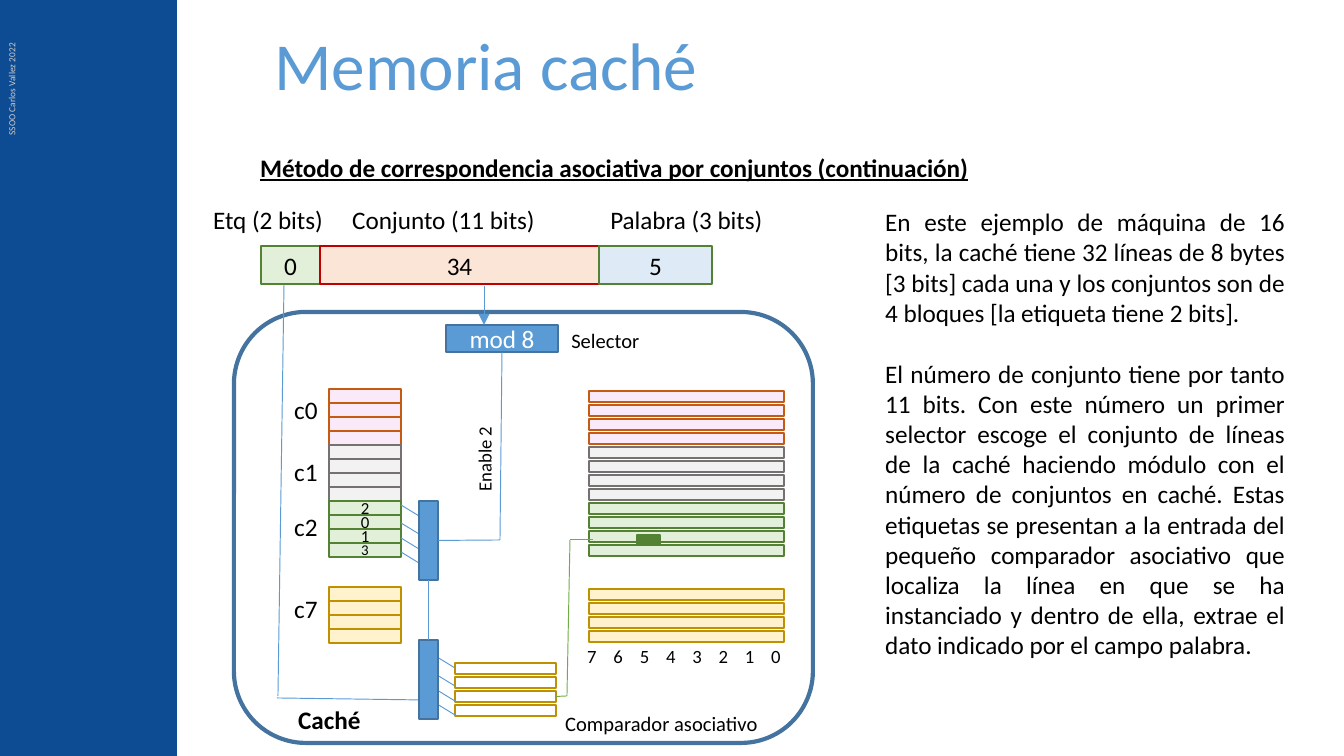
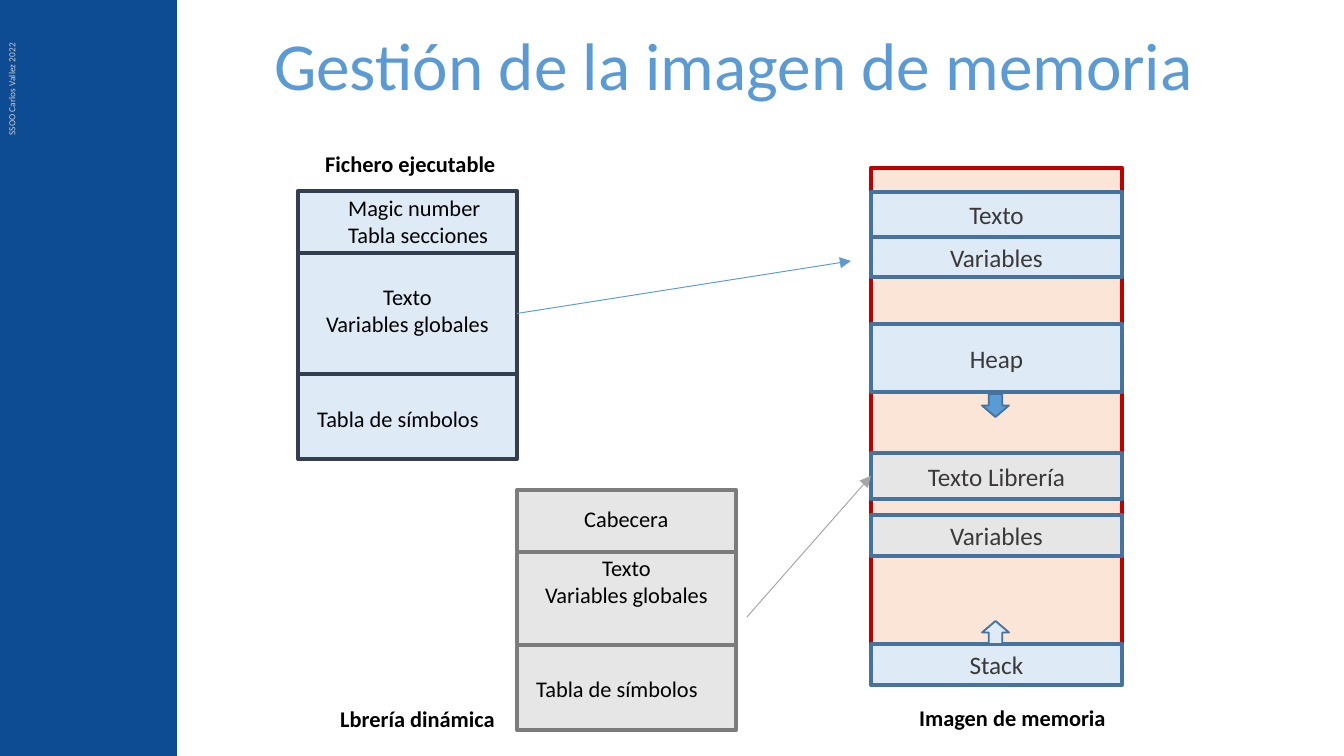
import pptx
import pptx.util
import pptx.dml.color
import pptx.enum.shapes
import pptx.enum.text
import pptx.oxml.ns
from lxml import etree

SHAPE = pptx.enum.shapes.MSO_SHAPE
ALIGN = pptx.enum.text.PP_ALIGN
ANCHOR = pptx.enum.text.MSO_ANCHOR
FIT = pptx.enum.text.MSO_AUTO_SIZE
Pt = pptx.util.Pt
RGB = pptx.dml.color.RGBColor.from_string
qn = pptx.oxml.ns.qn
PX = 9144000 / 1344  # EMU in one px

C = {
    "band": "0D4B92", "footer": "D0CECE", "blue": "5B9BD5", "edge": "43739E",
    "black": "000000", "white": "FFFFFF", "ink": "3B3838", "navy": "333F50",
    "pale_blue": "DEEBF7", "pale_green": "E2F0D9", "green": "548235",
    "wire_green": "70AD47", "peach": "FBE5D6", "red": "C00000",
    "pink": "FAEAF9", "orange": "C55A11", "pale_gray": "F2F2F2",
    "gray": "767171", "cream": "FFF2CC", "gold": "BF9000",
    "lib": "E7E6E6", "lib_edge": "7C7C7C", "wire_gray": "A5A5A5",
}


def box(s, x, y, w, h, text="", fill=None, line=None, width=1, shape=SHAPE.RECTANGLE,
        color="black", align=None, anchor=None, wrap=False, rot=0, gap=0, spacing=None, **fmt):
    """A filled shape, or a plain text box when there is no fill."""
    at = [round(v * PX) for v in (x, y, w, h)]
    if fill:
        sp = s.shapes.add_shape(shape, *at)
        sp.shadow.inherit = False
        sp.fill.solid()
        sp.fill.fore_color.rgb = RGB(C[fill])
        if line:
            sp.line.color.rgb = RGB(C[line])
            sp.line.width = Pt(width)
        else:
            sp.line.fill.background()
        align, anchor, wrap = ALIGN.CENTER, ANCHOR.MIDDLE, True
    else:
        sp = s.shapes.add_textbox(*at)
        sp.text_frame.auto_size = FIT.NONE if anchor else FIT.SHAPE_TO_FIT_TEXT
    sp.rotation = rot
    tf = sp.text_frame
    tf.word_wrap = wrap
    tf.vertical_anchor = anchor or ANCHOR.TOP
    for i, words in enumerate(text.split("\n") if text else []):
        p = tf.add_paragraph() if i else tf.paragraphs[0]
        for k, v in {"alignment": align, "line_spacing": spacing,
                     "space_before": Pt(gap) if i and gap else None}.items():
            setattr(p, k, v)
        r = p.add_run()
        r.text = words
        for k, v in {"name": "Calibri", "size": Pt(13.5), **fmt}.items():
            setattr(r.font, k, v)
        r.font.color.rgb = RGB(C[color])
    return sp


def wire(s, x1, y1, x2, y2, color="blue", width=0.5, arrow=False, begin=None, end=None):
    """A straight line; begin and end are (shape, side) pairs to join."""
    ends = [round(v * PX) for v in (x1, y1, x2, y2)]
    cx = s.shapes.add_connector(pptx.enum.shapes.MSO_CONNECTOR.STRAIGHT, *ends)
    cx.line.color.rgb = RGB(C[color])
    cx.line.width = Pt(width)
    if begin:
        cx.begin_connect(*begin)
    if end:
        cx.end_connect(*end)
    if arrow:
        etree.SubElement(cx.line._get_or_add_ln(), qn("a:tailEnd"), type="triangle")
    etree.SubElement(cx._element.spPr, qn("a:effectLst"))


prs = pptx.Presentation()
prs.slide_width = round(1344 * PX)
prs.slide_height = round(756 * PX)

# Shared band, footer and title
slides = []
for title in ("Memoria caché", "Gestión de la imagen de memoria"):
    s = prs.slides.add_slide(prs.slide_layouts[6])
    box(s, -1, 0, 178, 756, fill="band")
    box(s, -89, 34, 203, 26, "SSOO Carlos Vallez 2022", color="footer", wrap=True,
        rot=270, size=Pt(5))
    box(s, 261, 34, 1036, 78, title, color="blue", wrap=True, anchor=ANCHOR.BOTTOM,
        spacing=0.9, size=Pt(36))
    slides.append(s)

# Slide 1: cache frame and texts
s = slides[0]
box(s, 234, 312, 579, 431, fill="white", line="edge", width=2.25,
    shape=SHAPE.ROUNDED_RECTANGLE)
box(s, 872, 200, 426, 503,
    "En este ejemplo de máquina de 16 bits, la caché tiene 32 líneas de 8 bytes [3 bits] "
    "cada una y los conjuntos son de 4 bloques [la etiqueta tiene 2 bits].\n"
    "El número de conjunto tiene por tanto 11 bits. Con este número un primer selector "
    "escoge el conjunto de líneas de la caché haciendo módulo con el número de conjuntos "
    "en caché. Estas etiquetas se presentan a la entrada del pequeño comparador asociativo "
    "que localiza la línea en que se ha instanciado y dentro de ella, extrae el dato "
    "indicado por el campo palabra.",
    align=ALIGN.JUSTIFY, wrap=True, gap=16.3)
box(s, 247, 146, 840, 44, "Método de correspondencia asociativa por conjuntos (continuación)",
    align=ALIGN.JUSTIFY, wrap=True, bold=True, underline=True)
box(s, 285, 698, 90, 44, "Caché", bold=True)

# Address fields
for label, lx, lw, value, x, w, fill, line in (
        ("Etq (2 bits)", 200, 138, "0", 261, 59, "pale_green", "green"),
        ("Conjunto (11 bits)", 339, 212, "34", 320, 279, "peach", "red"),
        ("Palabra (3 bits)", 597, 181, "5", 599, 113, "pale_blue", "green")):
    box(s, lx, 198, lw, 44, label)
    box(s, x, 246, w, 38, value, fill=fill, line=line)

# Sets: tags on the left, data lines on the right
PITCH = 14
for name, label_y, y, fill, line, tags in (
        ("c0", 388, 389, "pink", "orange", None),
        ("c1", 450, 445, "pale_gray", "gray", None),
        ("c2", 505, 501, "pale_green", "green", "2013"),
        ("c7", 587, 587, "cream", "gold", None)):
    box(s, 281, label_y, 51, 44, name)
    for i in range(4):
        tag = tags[i] if tags else ""
        box(s, 329, y + i * PITCH, 72, PITCH, tag, fill=fill, line=line,
            size=Pt(8 if tag == "3" else 9))
        box(s, 589, y + 2 + i * PITCH, 195, 11, fill=fill, line=line)
box(s, 637, 535, 23, 9, fill="green", line="green")

# Byte numbers on evenly spaced tab stops
sp = box(s, 574, 638, 223, 36, "\t".join("76543210"), size=Pt(10))
tabs = etree.SubElement(sp.text_frame.paragraphs[0]._p.get_or_add_pPr(), qn("a:tabLst"))
for i in range(1, 8):
    etree.SubElement(tabs, qn("a:tab"), pos=str(round(184 * i / 7 * PX)), algn="l")

# Selector and comparator
mod = box(s, 446, 325, 112, 27, "mod 8", fill="blue", line="edge", color="white")
box(s, 558, 321, 95, 39, "Selector", size=Pt(11))
rows = [box(s, 455, 663 + i * PITCH, 101, 11, fill="white", line="gold") for i in range(4)]
box(s, 552, 704, 220, 39, "Comparador asociativo", size=Pt(11))
box(s, 438, 440, 93, 36, "Enable 2", rot=270, size=Pt(10))

# Wiring
for y in (505, 523, 538, 552):
    wire(s, 401, y, 419, y + 11)
    wire(s, 437, y + 152, 455, y + 163)
wire(s, 284, 285, 278, 696)
wire(s, 423, 700, 277, 698)
wire(s, 484, 286, 484, 325, arrow=True)
upper, lower = [box(s, 419, y, 19, 79, fill="blue", line="edge") for y in (501, 640)]
wire(s, 502, 352, 500, 540, begin=(mod, 2))
wire(s, 500, 540, 438, 540, end=(upper, 3))
wire(s, 428, 580, 428, 640, width=1, begin=(upper, 2), end=(lower, 0))
wire(s, 593, 540, 570, 540, "wire_green")
wire(s, 570, 540, 567, 696, "wire_green")
wire(s, 567, 696, 556, 696, "wire_green", end=(rows[2], 3))

# Slide 2: executable file and dynamic library
s = slides[1]
stacks = []
for x, y, heights, fill, line in (
        (298, 191, (62, 121, 85), "pale_blue", "navy"),
        (517, 490, (62, 93, 85), "lib", "lib_edge")):
    stack = []
    for h in heights:
        stack.append(box(s, x, y, 219, h, fill=fill, line=line, width=2.25))
        y += h
    stacks.append(stack)
for x, y, w, h, text, align in (
        (335, 188, 169, 67, "Magic number\nTabla secciones", None),
        (312, 277, 191, 67, "Texto\nVariables globales", ALIGN.CENTER),
        (304, 399, 191, 40, "Tabla de símbolos", None),
        (571, 499, 112, 40, "Cabecera", None),
        (531, 548, 191, 67, "Texto\nVariables globales", ALIGN.CENTER),
        (523, 669, 191, 40, "Tabla de símbolos", None)):
    box(s, x, y, w, h, text, align=align, size=Pt(12))
for x, y, w, text in (
        (312, 144, 199, "Fichero ejecutable"),
        (327, 699, 184, "Lbrería dinámica"),
        (906, 698, 216, "Imagen de memoria")):
    box(s, x, y, w, 40, text, bold=True, size=Pt(12))

# Memory image
box(s, 871, 168, 251, 513, fill="peach", line="red", width=2.25)
segments = [
    box(s, 871, y, 251, h, text, fill=fill, line="edge", width=2.25, color="ink")
    for y, h, text, fill in (
        (192, 45, "Texto", "pale_blue"),
        (237, 40, "Variables", "pale_blue"),
        (324, 68, "Heap", "pale_blue"),
        (453, 46, "Texto Librería", "lib"),
        (515, 41, "Variables", "lib"),
        (644, 41, "Stack", "pale_blue"))]
for y, fill, rot in ((394, "blue", 0), (621, "pale_blue", 180)):
    box(s, 982, y, 27, 23, fill=fill, line="edge", shape=SHAPE.DOWN_ARROW, rot=rot)

# Loading arrows
wire(s, 517, 313, 851, 261, arrow=True, begin=(stacks[0][1], 3))
wire(s, 747, 617, 871, 476, "wire_gray", arrow=True, end=(segments[3], 1))

prs.save("out.pptx")
